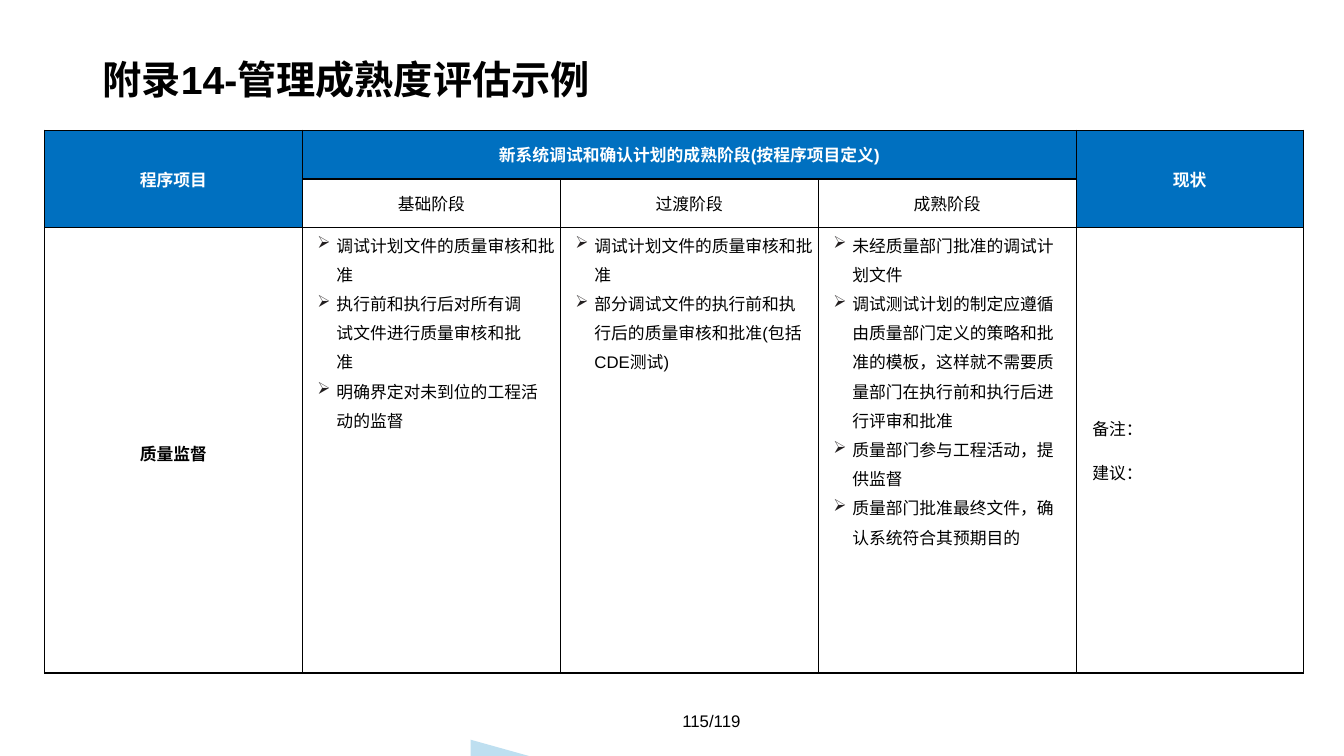
from dataclasses import dataclass

from lxml import etree
from pptx import Presentation
from pptx.dml.color import RGBColor
from pptx.enum.shapes import MSO_SHAPE
from pptx.enum.text import MSO_ANCHOR, MSO_AUTO_SIZE, PP_ALIGN
from pptx.oxml import parse_xml
from pptx.oxml.ns import qn
from pptx.util import Cm, Pt

LEFT, CENTER = PP_ALIGN.LEFT, PP_ALIGN.CENTER
TOP, MIDDLE = MSO_ANCHOR.TOP, MSO_ANCHOR.MIDDLE
NO_AUTOFIT = MSO_AUTO_SIZE.NONE
RIGHT_TRIANGLE = MSO_SHAPE.RIGHT_TRIANGLE
DRAWING_NS = "http://schemas.openxmlformats.org/drawingml/2006/main"

TITLE = "附录14-管理成熟度评估示例"
PAGE_NUMBER = "115/119"
PROGRAM_HEADING = "程序项目"
STAGES_HEADING = "新系统调试和确认计划的成熟阶段(按程序项目定义)"
STATUS_HEADING = "现状"
PROGRAM = "质量监督"
REMARKS = ["备注：", "建议："]
FULL, WIDE, NARROW = Cm(0), Cm(0.35), Cm(0.76)
STAGES = {
    "基础阶段": [
        ("调试计划文件的质量审核和批准", FULL),
        ("执行前和执行后对所有调试文件进行质量审核和批准", NARROW),
        ("明确界定对未到位的工程活动的监督", WIDE),
    ],
    "过渡阶段": [
        ("调试计划文件的质量审核和批准", FULL),
        ("部分调试文件的执行前和执行后的质量审核和批准(包括CDE测试)", WIDE),
    ],
    "成熟阶段": [
        ("未经质量部门批准的调试计划文件", WIDE),
        ("调试测试计划的制定应遵循由质量部门定义的策略和批准的模板，"
         "这样就不需要质量部门在执行前和执行后进行评审和批准", WIDE),
        ("质量部门参与工程活动，提供监督", WIDE),
        ("质量部门批准最终文件，确认系统符合其预期目的", WIDE),
    ],
}
COLUMN_WIDTHS = [Cm(6.5)] * 4 + [Cm(5.72)]
ROW_HEIGHTS = [Cm(1.23), Cm(1.23), Cm(11.22)]
TITLE_FRAME = dict(left=Cm(2.13), top=Cm(1.09), width=Cm(29.59), height=Cm(1.8))


@dataclass(frozen=True)
class Theme:
    """Colours, font and type sizes of the slide."""
    font: str = "Arial"
    text: str = "000000"
    reversed_text: str = "FFFFFF"
    heading_fill: str = "0070C0"
    bullet: str = "231F20"
    accent: str = "BEDFF0"
    title_size: int = 28
    body_size: int = 12


THEME = Theme()


def apply(target, formats):
    """Set each format value on the target."""
    for name, value in formats.items():
        setattr(target, name, value)


def write(paragraph, text, size=THEME.body_size, color=THEME.text, bold=False, **formats):
    """Put formatted text into a paragraph."""
    apply(paragraph, formats)
    run = paragraph.add_run()
    run.text = text
    apply(run.font, dict(name=THEME.font, size=Pt(size), bold=bold))
    run.font.color.rgb = RGBColor.from_string(color)


def indent(paragraph, **margins):
    """Set the margins of a paragraph."""
    properties = paragraph._p.get_or_add_pPr()
    for name, length in margins.items():
        properties.set(name, str(int(length)))
    return properties


def add_bullet(paragraph, right_margin):
    """Give a paragraph an arrow bullet and a hanging indent."""
    properties = indent(paragraph, marL=Cm(0.86), marR=right_margin, indent=Cm(-0.48))
    bullet_color = etree.SubElement(properties, qn("a:buClr"))
    etree.SubElement(bullet_color, qn("a:srgbClr"), val=THEME.bullet)
    etree.SubElement(properties, qn("a:buChar"), char="➢")
    tabs = etree.SubElement(properties, qn("a:tabLst"))
    etree.SubElement(tabs, qn("a:tab"), pos=str(Cm(0.64)), algn="l")


def format_cell(cell, filled):
    """Set the margins, fill and borders of a cell."""
    apply(cell, dict(margin_left=0, margin_right=0, margin_top=0, margin_bottom=0,
                     vertical_anchor=MIDDLE))
    if filled:
        cell.fill.solid()
        cell.fill.fore_color.rgb = RGBColor.from_string(THEME.heading_fill)
    else:
        cell.fill.background()
    properties = cell._tc.get_or_add_tcPr()
    for position, side in enumerate(("lnL", "lnR", "lnT", "lnB")):
        properties.insert(position, parse_xml(
            f'<a:{side} xmlns:a="{DRAWING_NS}" w="{Pt(1)}"><a:solidFill>'
            f'<a:srgbClr val="{THEME.text}"/></a:solidFill></a:{side}>'))


def paragraphs_for(cell, count):
    """Return the given number of paragraphs in a cell."""
    frame = cell.text_frame
    return [frame.paragraphs[0]] + [frame.add_paragraph() for _ in range(count - 1)]


def add_maturity_table(slide):
    """Add the table of maturity stages."""
    table = slide.shapes.add_table(
        len(ROW_HEIGHTS), len(COLUMN_WIDTHS), Cm(1.12), Cm(3.28),
        sum(COLUMN_WIDTHS), sum(ROW_HEIGHTS)).table
    apply(table, dict(first_row=False, horz_banding=False))
    for column, width in zip(table.columns, COLUMN_WIDTHS):
        column.width = width
    for row, height in zip(table.rows, ROW_HEIGHTS):
        row.height = height

    status_column = len(COLUMN_WIDTHS) - 1
    for row in range(len(ROW_HEIGHTS)):
        for column in range(len(COLUMN_WIDTHS)):
            filled = row == 0 or (row == 1 and column in (0, status_column))
            format_cell(table.cell(row, column), filled)

    headings = [(0, PROGRAM_HEADING, (1, 0)),
                (1, STAGES_HEADING, (0, status_column - 1)),
                (status_column, STATUS_HEADING, (1, status_column))]
    for column, heading, last in headings:
        cell = table.cell(0, column)
        cell.merge(table.cell(*last))
        write(cell.text_frame.paragraphs[0], heading, color=THEME.reversed_text,
              bold=True, alignment=CENTER)

    write(table.cell(2, 0).text_frame.paragraphs[0], PROGRAM, bold=True,
          alignment=CENTER, line_spacing=1.2)
    for column, (stage, criteria) in enumerate(STAGES.items(), start=1):
        write(table.cell(1, column).text_frame.paragraphs[0], stage, alignment=CENTER)
        cell = table.cell(2, column)
        cell.vertical_anchor = TOP
        for paragraph, (criterion, right_margin) in zip(
                paragraphs_for(cell, len(criteria)), criteria):
            add_bullet(paragraph, right_margin)
            write(paragraph, criterion, line_spacing=1.2)

    remark_paragraphs = paragraphs_for(table.cell(2, status_column), len(REMARKS))
    for order, (paragraph, remark) in enumerate(zip(remark_paragraphs, REMARKS)):
        indent(paragraph, marL=Cm(0.41), indent=0)
        write(paragraph, remark, space_before=Pt(14 * order))


def main():
    """Build and save the slide."""
    deck = Presentation()
    apply(deck, dict(slide_width=Cm(33.87), slide_height=Cm(19.05)))
    slide = deck.slides.add_slide(deck.slide_layouts[5])

    corner = slide.shapes.add_shape(RIGHT_TRIANGLE, Cm(11.86), Cm(18.64), Cm(1.47), Cm(0.41))
    corner.shadow.inherit = False
    corner.fill.solid()
    corner.fill.fore_color.rgb = RGBColor.from_string(THEME.accent)
    corner.line.fill.background()

    title = slide.shapes.title
    apply(title, TITLE_FRAME)
    apply(title.text_frame, dict(vertical_anchor=MIDDLE, auto_size=NO_AUTOFIT, word_wrap=True))
    heading = title.text_frame.paragraphs[0]
    indent(heading, marL=Cm(0.2), indent=0)
    write(heading, TITLE, size=THEME.title_size, bold=True, alignment=LEFT)

    add_maturity_table(slide)

    footer = slide.shapes.add_textbox(Cm(14.12), Cm(17.65), Cm(7.62), Cm(1.02)).text_frame
    apply(footer, dict(vertical_anchor=MIDDLE, word_wrap=True))
    write(footer.paragraphs[0], PAGE_NUMBER, alignment=CENTER)
    deck.save("out.pptx")


if __name__ == "__main__":
    main()
